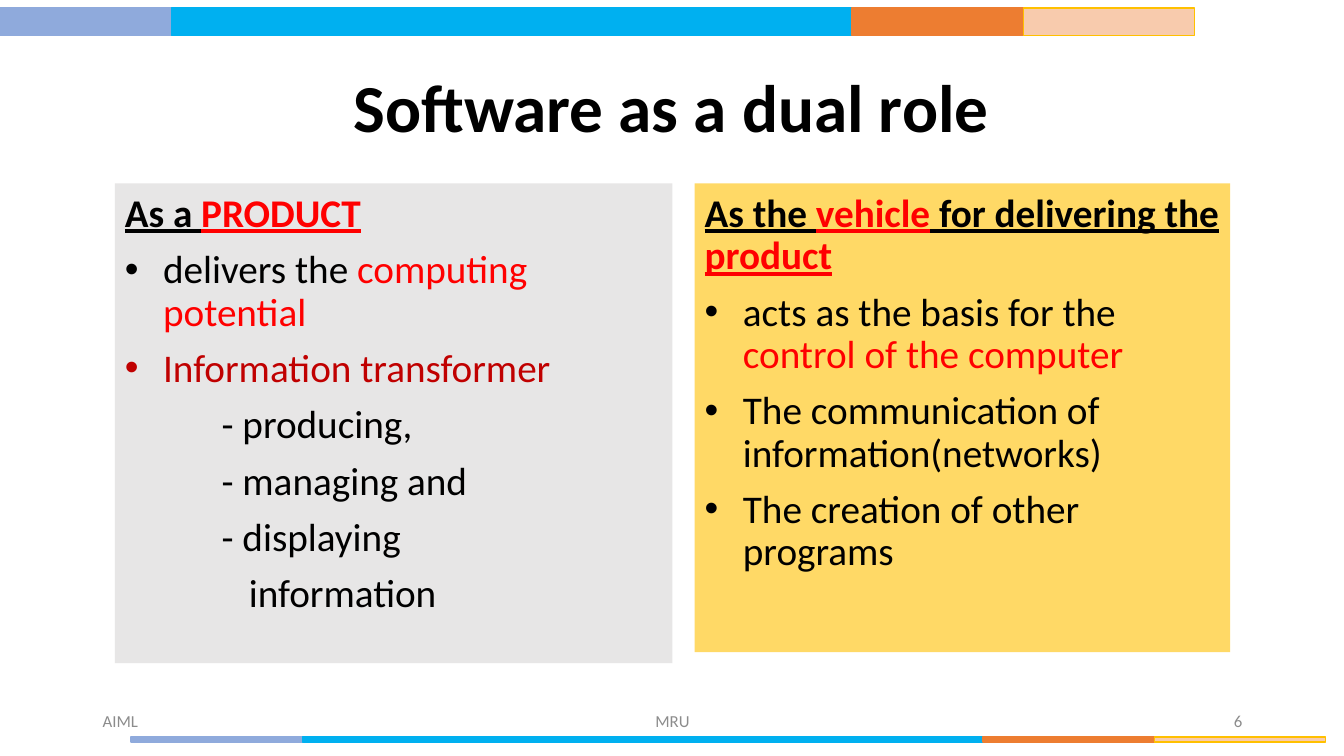
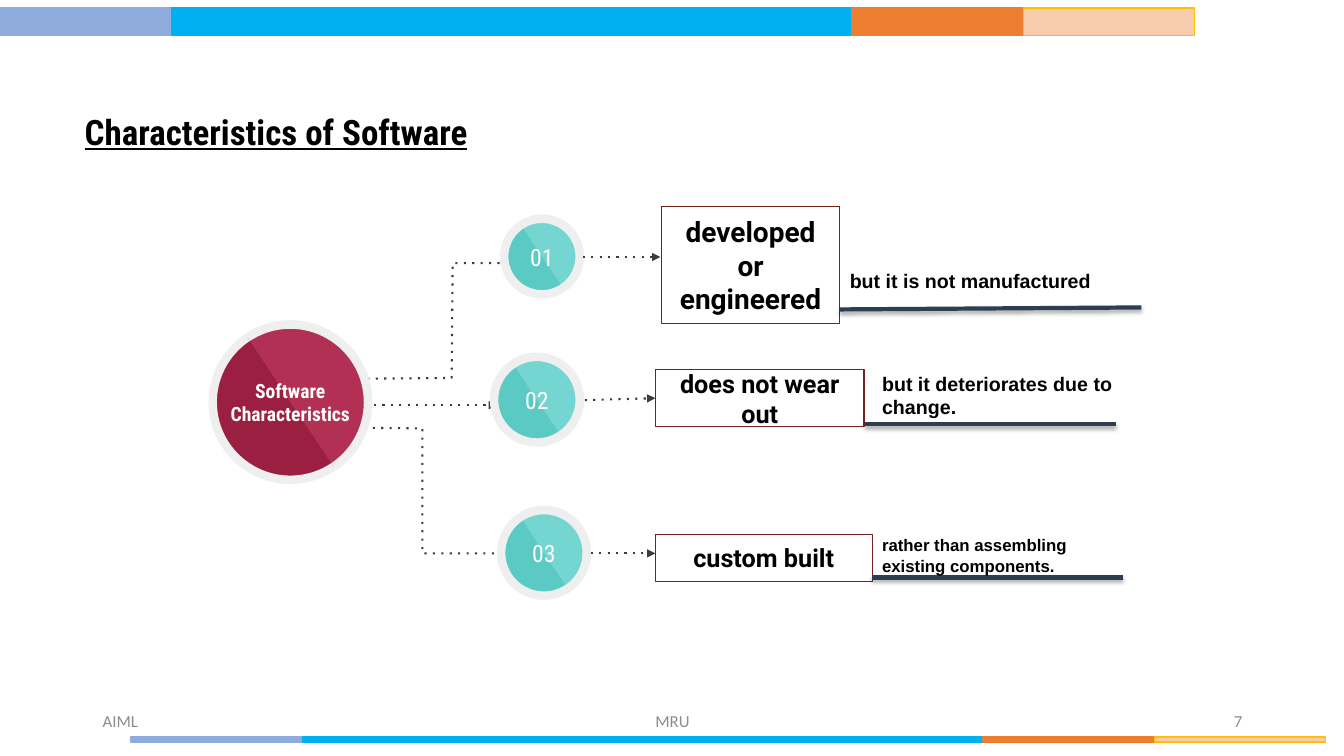
from itertools import accumulate

from lxml.etree import SubElement
from pptx import Presentation
from pptx.dml.color import RGBColor
from pptx.enum.shapes import MSO_CONNECTOR, MSO_SHAPE
from pptx.enum.text import MSO_ANCHOR as Anchor, MSO_AUTO_SIZE, PP_ALIGN as Align
from pptx.oxml.ns import qn
from pptx.util import Inches, Pt

BLACK, WHITE, RED, DARK_RED = "000000", "FFFFFF", "FF0000", "C00000"
GREY, RING, DOTS, UNDERLINE, BOX_LINE = "8C8C8C", "EFEFEF", "373D44", "2C3E50", "73211D"
TEAL, LIGHT_TEAL, MAROON, LIGHT_MAROON = "5BCAC4", "75D6D1", "9A1F40", "B13053"
BAND_WIDTHS = (1.7, 6.75, 1.7, 1.7)
BAND_COLORS = (("8FAADC", "8FAADC"), ("00B0F0", "00B0F0"), ("ED7D31", "ED7D31"), ("F8CBAD", "FFC000"))


def rgb(color):
    return RGBColor.from_string(color)


def place(shape, left, top, width, height):
    shape.left, shape.top = Inches(left), Inches(top)
    shape.width, shape.height = Inches(width), Inches(height)


def add_run(paragraph, text, font, size, color=BLACK, bold=False, underline=False):
    run = paragraph.add_run()
    run.text = text
    run.font.name, run.font.size = font, Pt(size)
    run.font.bold, run.font.underline = bold, underline
    run.font.color.rgb = rgb(color)


def set_frame(shape, anchor, inset_x=0.1, inset_y=0.1):
    frame = shape.text_frame
    frame.word_wrap, frame.auto_size = True, MSO_AUTO_SIZE.NONE
    frame.vertical_anchor = anchor
    frame.margin_left = frame.margin_right = Inches(inset_x)
    frame.margin_top = frame.margin_bottom = Inches(inset_y)
    return frame


def write_lines(frame, lines, align, font, size, **style):
    for index, line in enumerate(lines):
        paragraph = frame.add_paragraph() if index else frame.paragraphs[0]
        paragraph.alignment = align
        add_run(paragraph, line, font, size, **style)


def add_text(slide, box, lines, font, size, align=Align.LEFT, anchor=Anchor.MIDDLE,
             inset_x=0.1, inset_y=0.05, **style):
    shape = slide.shapes.add_textbox(*map(Inches, box))
    write_lines(set_frame(shape, anchor, inset_x, inset_y), lines, align, font, size, **style)


def add_figure(slide, kind, box, fill=None, line=None, line_width=1):
    shape = slide.shapes.add_shape(kind, *map(Inches, box))
    shape.shadow.inherit = False
    if fill:
        shape.fill.solid()
        shape.fill.fore_color.rgb = rgb(fill)
    else:
        shape.fill.background()
    if line:
        shape.line.color.rgb = rgb(line)
        shape.line.width = Pt(line_width)
    else:
        shape.line.fill.background()
    return shape


def add_bands(slide):
    """Draw both colour strips and move them to the slide's layout."""
    layout_tree = slide.slide_layout.shapes.element
    bands = []
    for left, top, height in ((1.3, 7.31, 0.05), (0, 0.08, 0.27)):
        offsets = accumulate(BAND_WIDTHS, initial=left)
        for offset, width, (fill, line) in zip(offsets, BAND_WIDTHS, BAND_COLORS):
            bands.append(add_figure(slide, MSO_SHAPE.RECTANGLE, (offset, top, width, height), fill, line))
    for number, band in enumerate(bands, 100):
        band.element.nvSpPr.cNvPr.set("id", str(number))
        layout_tree.append(band.element)


def add_title(slide, text, box, font, size, align, anchor, underline=False):
    title = slide.shapes.title
    place(title, *box)
    frame = set_frame(title, anchor)
    write_lines(frame, [text], align, font, size, bold=True, underline=underline)
    frame.paragraphs[0].line_spacing = 0.9


def add_footer(slide, number):
    for text, left, width, align in (("AIML", 0.92, 3, Align.LEFT), ("MRU", 4.42, 4.5, Align.CENTER),
                                     (str(number), 9.42, 3, Align.RIGHT)):
        add_text(slide, (left, 6.95, width, 0.4), [text], "Calibri", 12, align, color=GREY)


def indent(paragraph, left, bullet):
    properties = paragraph._p.get_or_add_pPr()
    properties.set("marL", str(Inches(left)))
    if bullet:
        properties.set("indent", str(-Inches(left)))
        SubElement(properties, qn("a:buFont"), typeface="Arial")
        SubElement(properties, qn("a:buChar"), char="•")


def add_panel(slide, box, fill, heading, items):
    """Items are (left indent, has bullet, runs); each run is (text, colour)."""
    frame = set_frame(add_figure(slide, MSO_SHAPE.RECTANGLE, box, fill), Anchor.TOP)
    for index, (left, bullet, runs) in enumerate([(0, False, heading), *items]):
        paragraph = frame.add_paragraph() if index else frame.paragraphs[0]
        indent(paragraph, left, bullet)
        paragraph.alignment = Align.LEFT
        paragraph.line_spacing = 0.9
        paragraph.space_before = Pt(10 if index else 0)
        for text, color in runs:
            add_run(paragraph, text, "Calibri", 28, color, bold=not index, underline=not index)


def style_dotted_arrow(shape):
    shape.line.color.rgb = rgb(DOTS)
    shape.line.width = Pt(1.5)
    line = shape.element.spPr.find(qn("a:ln"))
    SubElement(line, qn("a:prstDash"), val="dot")
    SubElement(line, qn("a:tailEnd"), type="triangle")


def add_line(slide, start, end):
    return slide.shapes.add_connector(MSO_CONNECTOR.STRAIGHT, *map(Inches, (*start, *end)))


def add_arrow(slide, start, end):
    arrow = add_line(slide, start, end)
    style_dotted_arrow(arrow)
    SubElement(arrow.element.spPr, qn("a:effectLst"))
    return arrow


def add_bent_arrow(slide, points):
    start, *others = [tuple(map(Inches, point)) for point in points]
    builder = slide.shapes.build_freeform(*start)
    builder.add_line_segments(others, close=False)
    arrow = builder.convert_to_shape()
    arrow.fill.background()
    arrow.shadow.inherit = False
    # The effect list has to follow the line, so the line is styled in place.
    style_dotted_arrow(arrow)


def add_underline(slide, start, end):
    line = add_line(slide, start, end)
    line.line.color.rgb = rgb(UNDERLINE)
    line.line.width = Pt(3)
    effects = SubElement(line.element.spPr, qn("a:effectLst"))
    shadow = SubElement(effects, qn("a:outerShdw"), blurRad=str(Pt(3.1)), dist=str(Pt(1.8)),
                        dir="5400000", rotWithShape="0")
    color = SubElement(shadow, qn("a:srgbClr"), val=BLACK)
    SubElement(color, qn("a:alpha"), val="35000")


def add_badge(slide, left, top, size, fill, highlight, lines, text_size, bold=False):
    """Ringed disc with a lighter half and centred text."""
    box = (left, top, size, size)
    add_figure(slide, MSO_SHAPE.OVAL, box, fill, RING, 6)
    half = add_figure(slide, MSO_SHAPE.ARC, box, highlight, RING, 6)
    half.adjustments[0], half.adjustments[1] = 162, 53.62
    half.rotation = 326.7
    add_text(slide, box, lines, "Roboto Condensed", text_size, Align.CENTER,
             inset_x=0, inset_y=0, color=WHITE, bold=bold)


def add_label(slide, box, text, size):
    label = add_figure(slide, MSO_SHAPE.RECTANGLE, box, line=BOX_LINE, line_width=0.75)
    write_lines(set_frame(label, Anchor.MIDDLE), [text], Align.CENTER, "Roboto", size, bold=True)
    return label


def build_dual_role(slide):
    add_title(slide, "Software as a dual role", (2.9, 0.92, 7.52, 0.64), "Calibri", 48,
              Align.CENTER, Anchor.BOTTOM)
    add_panel(slide, (1.14, 1.82, 5.53, 4.76), "E7E6E6", [("As a ", BLACK), ("PRODUCT", RED)], [
        (0.38, True, [("delivers the ", BLACK), ("computing potential", RED)]),
        (0.38, True, [("Information transformer", DARK_RED)]),
        (0.96, False, [("- producing,", BLACK)]),
        (0.96, False, [("- managing and", BLACK)]),
        (0.96, False, [("- displaying", BLACK)]),
        (1.23, False, [("information", BLACK)]),
    ])
    add_panel(slide, (6.89, 1.82, 5.31, 4.65), "FFD966",
              [("As the ", BLACK), ("vehicle", RED), (" for delivering the ", BLACK), ("product", RED)], [
        (0.38, True, [("acts as the basis for the ", BLACK), ("control of the computer", RED)]),
        (0.38, True, [("The communication of information(networks)", BLACK)]),
        (0.38, True, [("The creation of other programs", BLACK)]),
    ])


def build_characteristics(slide):
    add_title(slide, "Characteristics of Software", (0.74, 1.04, 4.71, 0.63), "Roboto Condensed", 25,
              Align.LEFT, Anchor.TOP, underline=True)
    add_bent_arrow(slide, [(3.31, 3.76), (4.48, 3.75), (4.49, 2.61), (5.55, 2.61)])
    add_bent_arrow(slide, [(3.28, 4.24), (4.19, 4.25), (4.19, 5.49), (5.03, 5.49)])
    add_arrow(slide, (3.71, 4.02), (4.93, 4.02))
    add_badge(slide, 2.11, 3.22, 1.54, MAROON, LIGHT_MAROON, ["Software", "Characteristics"], 14, bold=True)

    badges = ((5, 2.17, 0.75), (4.9, 3.54, 0.85), (4.97, 5.06, 0.85))
    for number, badge in enumerate(badges, 1):
        add_badge(slide, *badge, TEAL, LIGHT_TEAL, [f"{number:02}"], 17)

    add_label(slide, (6.56, 2.05, 1.77, 1.16), "developed or engineered", 20)
    wear_label = add_label(slide, (6.5, 3.67, 2.07, 0.56), "does not wear out", 18)
    add_label(slide, (6.5, 5.3, 2.15, 0.47), "custom built", 18)
    add_arrow(slide, (5.78, 2.55), (6.55, 2.55))
    add_arrow(slide, (5.8, 3.97), (6.5, 3.95)).end_connect(wear_label, 1)
    add_arrow(slide, (5.86, 5.49), (6.5, 5.49))

    for start, end, box, text, size in (
        ((8.33, 3.07), (11.32, 3.05), (8.33, 2.62, 2.9, 0.34), "but it is not manufactured", 14),
        ((8.58, 4.21), (11.07, 4.21), (8.65, 3.64, 2.58, 0.57), "but it deteriorates due to change.", 14),
        ((8.65, 5.73), (11.14, 5.73), (8.65, 5.26, 2.58, 0.5), "rather than assembling existing components.", 12),
    ):
        add_underline(slide, start, end)
        add_text(slide, box, [text], "Arial", size, anchor=Anchor.TOP, bold=True)


def main():
    presentation = Presentation()
    presentation.slide_width, presentation.slide_height = Inches(13.33), Inches(7.5)
    layout = presentation.slide_layouts.get_by_name("Title Only")
    builders = (build_dual_role, build_characteristics)
    slides = [presentation.slides.add_slide(layout) for _ in builders]
    add_bands(slides[0])
    for number, (slide, build) in enumerate(zip(slides, builders), 6):
        build(slide)
        add_footer(slide, number)
    presentation.save("out.pptx")


if __name__ == "__main__":
    main()
